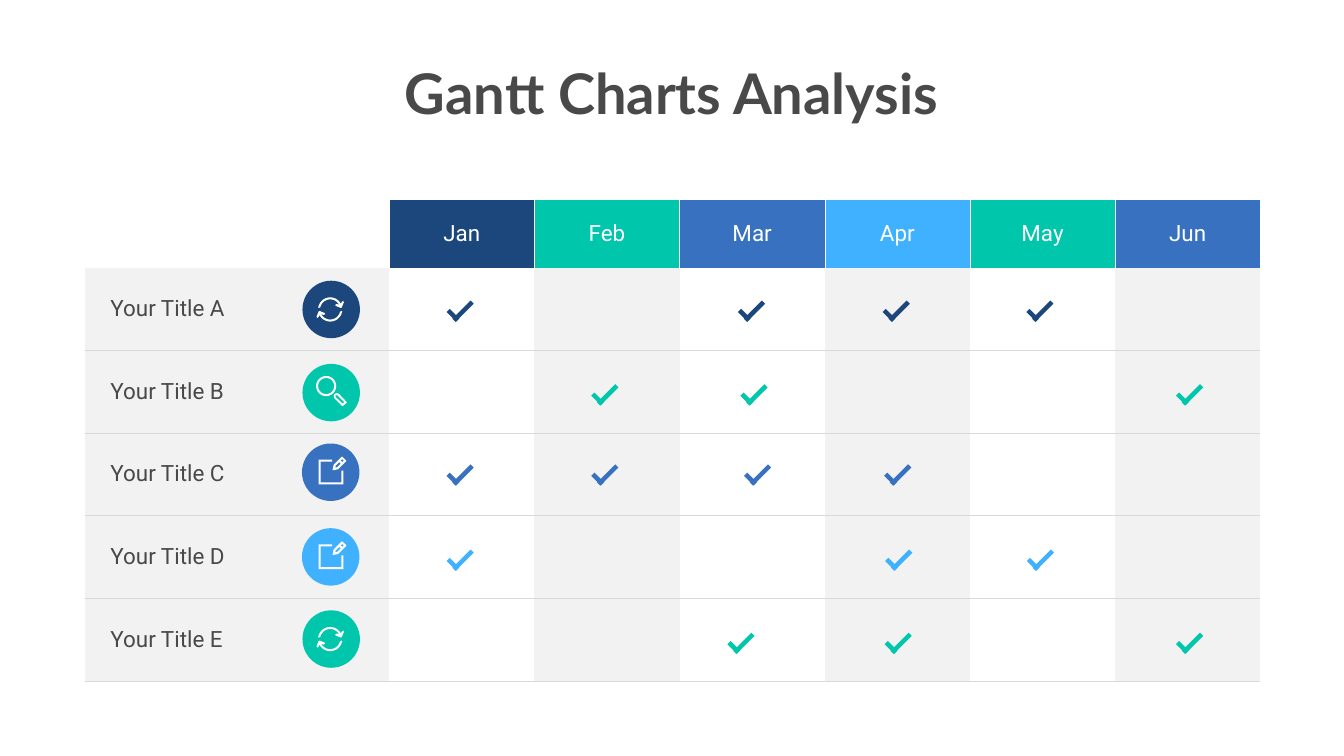
import math

import lxml.etree
import pptx
import pptx.dml.color
import pptx.enum.shapes
import pptx.enum.text
import pptx.oxml.ns
import pptx.util

PX = 9144
HEX = {
    "navy": "1C477C", "teal": "00C6AB", "blue": "3771BF", "sky": "3FB1FF",
    "white": "FFFFFF", "pale": "F2F2F2", "rule": "D9D9D9", "text": "494949",
}
PLAIN = "{2D5ABB26-0587-4C30-8999-92F81FD0307C}"
KIND = pptx.enum.shapes.MSO_SHAPE
ALIGN = pptx.enum.text.PP_ALIGN
MONTHS = [("Jan", "navy"), ("Feb", "teal"), ("Mar", "blue"),
          ("Apr", "sky"), ("May", "teal"), ("Jun", "blue")]
ROWS = [
    ("Your Title A", "navy", "cycle", (600, 557), 621, [885, 1463, 1750, 2035]),
    ("Your Title B", "teal", "lens", (600, 722), 787, [1172, 1468, 2332]),
    ("Your Title C", "blue", "edit", (599, 880), 946, [885, 1172, 1475, 1753]),
    ("Your Title D", "sky", "edit", (599, 1048), 1115, [885, 1755, 2036]),
    ("Your Title E", "teal", "cycle", (600, 1211), 1280, [1442, 1754, 2332]),
]


def emu(*vals):
    return [round(v * PX) for v in vals]


def rgb(name):
    return pptx.dml.color.RGBColor.from_string(HEX[name])


def paint(item, name):
    item.fill.solid()
    item.fill.fore_color.rgb = rgb(name)


def finish(shape, name):
    paint(shape, name)
    shape.line.fill.background()
    shape.shadow.inherit = False


def write(frame, text, size=32, font="Roboto", color="text", bold=False,
          align=ALIGN.LEFT):
    para = frame.paragraphs[0]
    para.alignment = align
    run = para.add_run()
    run.text = text
    run.font.size = pptx.util.Pt(size)
    run.font.name = font
    run.font.bold = bold
    run.font.color.rgb = rgb(color)


def edge(cell, side, name, width):
    qn = pptx.oxml.ns.qn
    props = cell._tc.get_or_add_tcPr()
    line = lxml.etree.SubElement(props, qn("a:ln" + side),
                                 w=str(pptx.util.Pt(width)))
    fill = lxml.etree.SubElement(line, qn("a:solidFill"))
    lxml.etree.SubElement(fill, qn("a:srgbClr"), val=HEX[name])


def arc(x, y, r, start, end, steps=24):
    turns = [math.radians(start + (end - start) * i / steps)
             for i in range(steps + 1)]
    return [(x + r * math.cos(t), y + r * math.sin(t)) for t in turns]


def cycle():
    tip = [(23, -15), (26, -17), (27, -14), (23, -4), (21, -3),
           (11, -7), (10, -9), (13, -11), (18, -9)]
    half = (arc(0, 0, 24, 194, 333) + tip + arc(0, 0, 20, 333, 194)
            + [(-22, -3), (-24, -4)])
    return [[[(55 + s * x, 57 + s * y) for x, y in half]] for s in (1, -1)]


def lens():
    grip = [(80, 84), (78, 83), (63, 68), (62, 64), (63, 60), (68, 58),
            (72, 59), (87, 75), (88, 76), (87, 78), (81, 83)]
    slot = [(69, 62), (66, 62), (66, 66), (80, 79), (83, 76)]
    rings = [arc(47, 44, 20, 0, 360), arc(47, 44, 16, 360, 0)]
    return [[grip, slot], rings]


def edit():
    page = [(33, 32), (60, 32), (60, 36), (37, 36), (37, 77),
            (78, 77), (78, 54), (82, 54), (82, 81), (33, 81)]
    pen = [(80, 26), (87, 33), (88, 34), (87, 36), (72, 51), (63, 53),
           (61, 53), (61, 51), (63, 42), (78, 27)]
    cap = [(80, 37), (77, 34), (80, 31), (83, 34)]
    stem = [(70, 47), (66, 48), (67, 44), (74, 37), (77, 40)]
    return [[page], [pen, cap, stem]]


ICONS = {"cycle": cycle, "lens": lens, "edit": edit}


def trace(shapes, left, top, loops):
    paths = [[tuple(emu(left + x, top + y)) for x, y in loop] for loop in loops]
    pen = shapes.build_freeform(*paths[0][0], scale=1.0)
    for num, path in enumerate(paths):
        if num:
            pen.move_to(*path[0])
        pen.add_line_segments(path[1:], close=True)
    finish(pen.convert_to_shape(), "white")


def badge(slide, left, top, color, icon):
    shapes = slide.shapes.add_group_shape().shapes
    disc = shapes.add_shape(KIND.OVAL, *emu(left, top, 114, 114))
    finish(disc, color)
    for loops in ICONS[icon]():
        trace(shapes, left, top, loops)


def check(slide, left, top, color):
    shapes = slide.shapes.add_group_shape().shapes
    for x, y, width, turn in ((0, 0, 27, 45), (8, -8, 51, 135)):
        bar = shapes.add_shape(KIND.RECTANGLE,
                               *emu(left + x, top + y, width, 9))
        bar.rotation = turn
        finish(bar, color)


def head(cell, text, color):
    for side, width in (("L", 0.5), ("R", 0.5), ("T", 1)):
        edge(cell, side, "white", width)
    paint(cell, color)
    if text:
        write(cell.text_frame, text, color="white", align=ALIGN.CENTER)


def grid(slide, left, top, width, height):
    frame = slide.shapes.add_table(len(ROWS) + 1, len(MONTHS) + 1,
                                   *emu(left, top, width, height))
    table = frame.table
    table.first_row = table.horz_banding = False
    table._tbl.tblPr.find(pptx.oxml.ns.qn("a:tableStyleId")).text = PLAIN
    for num, col in enumerate(table.columns):
        col.width = emu(288 if num else 603)[0]
    for num, row in enumerate(table.rows):
        row.height = emu(164 if num else 136)[0]
        for cell in row.cells:
            cell.vertical_anchor = pptx.enum.text.MSO_ANCHOR.MIDDLE
    for num, (text, color) in enumerate([("", "white")] + MONTHS):
        head(table.cell(0, num), text, color)
    for num, (title, *_) in enumerate(ROWS, 1):
        for col, cell in enumerate(table.rows[num].cells):
            edge(cell, "B", "rule", 1)
            paint(cell, "white" if col % 2 else "pale")
        label = table.cell(num, 0)
        label.margin_left = emu(50)[0]
        write(label.text_frame, title)


def title(slide, left, top, width, height):
    box = slide.shapes.add_textbox(*emu(left, top, width, height))
    box.text_frame.word_wrap = False
    box.text_frame.auto_size = pptx.enum.text.MSO_AUTO_SIZE.SHAPE_TO_FIT_TEXT
    write(box.text_frame, "Gantt Charts Analysis", size=80, font="Lato",
          bold=True, align=ALIGN.CENTER)


def main():
    deck = pptx.Presentation()
    deck.slide_width, deck.slide_height = emu(2666, 1500)
    slide = deck.slides.add_slide(deck.slide_layouts[6])
    grid(slide, 169, 395, 2331, 956)
    for _, color, icon, spot, _, _ in ROWS:
        badge(slide, *spot, color, icon)
    for _, color, _, _, level, marks in ROWS:
        for left in marks:
            check(slide, left, level, color)
    title(slide, 777, 112, 1111, 145)
    deck.save("out.pptx")


if __name__ == "__main__":
    main()
